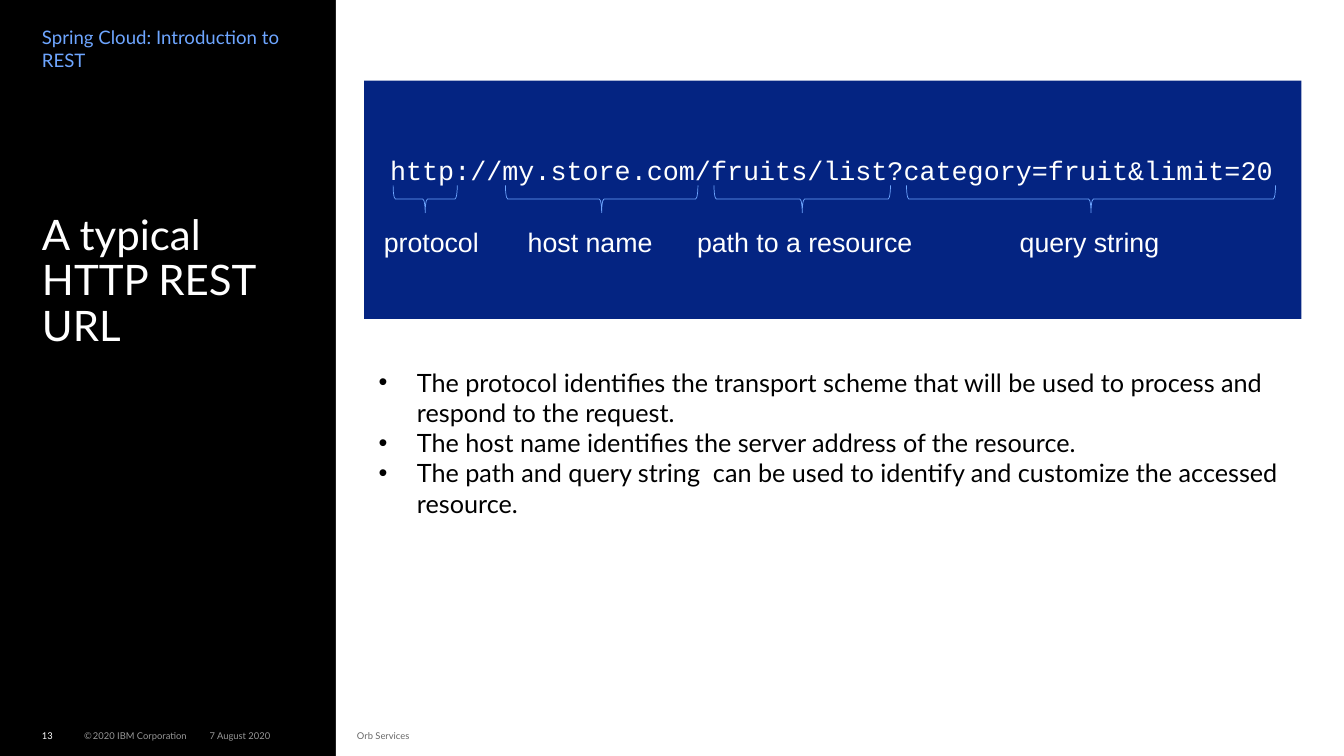
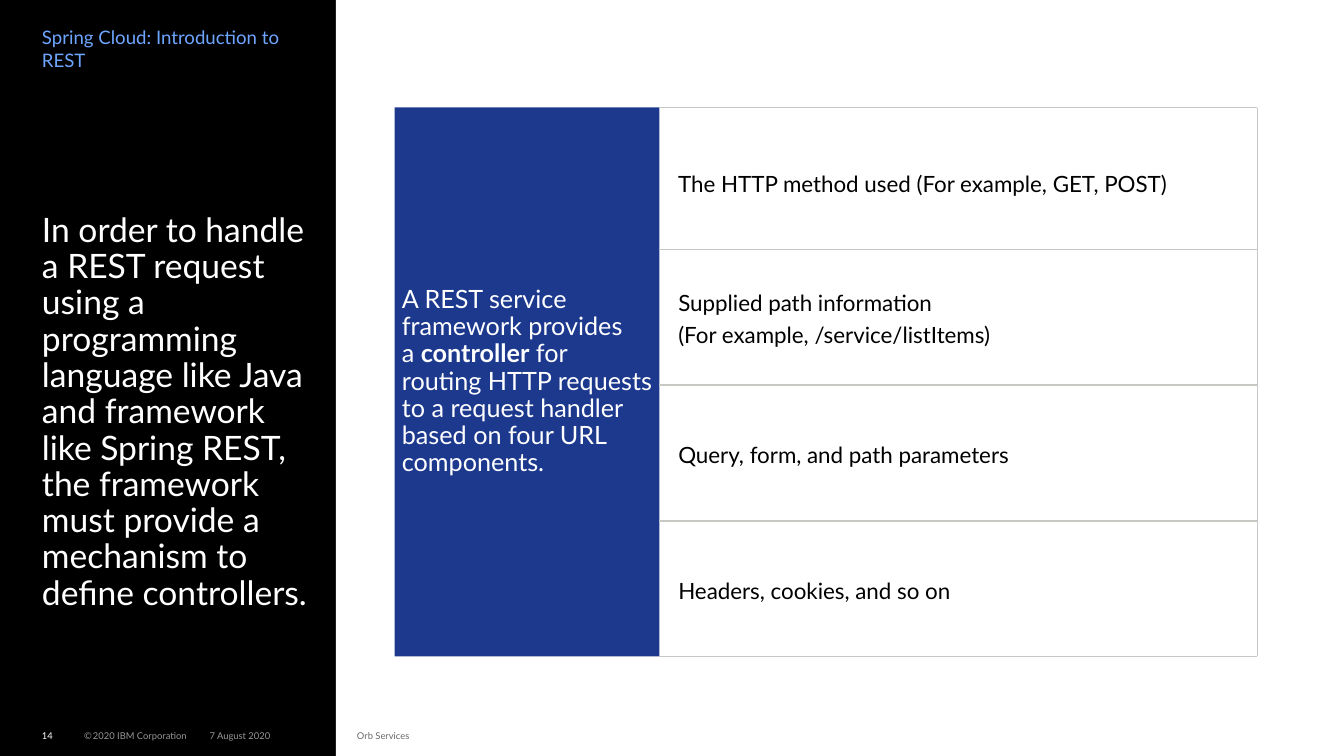
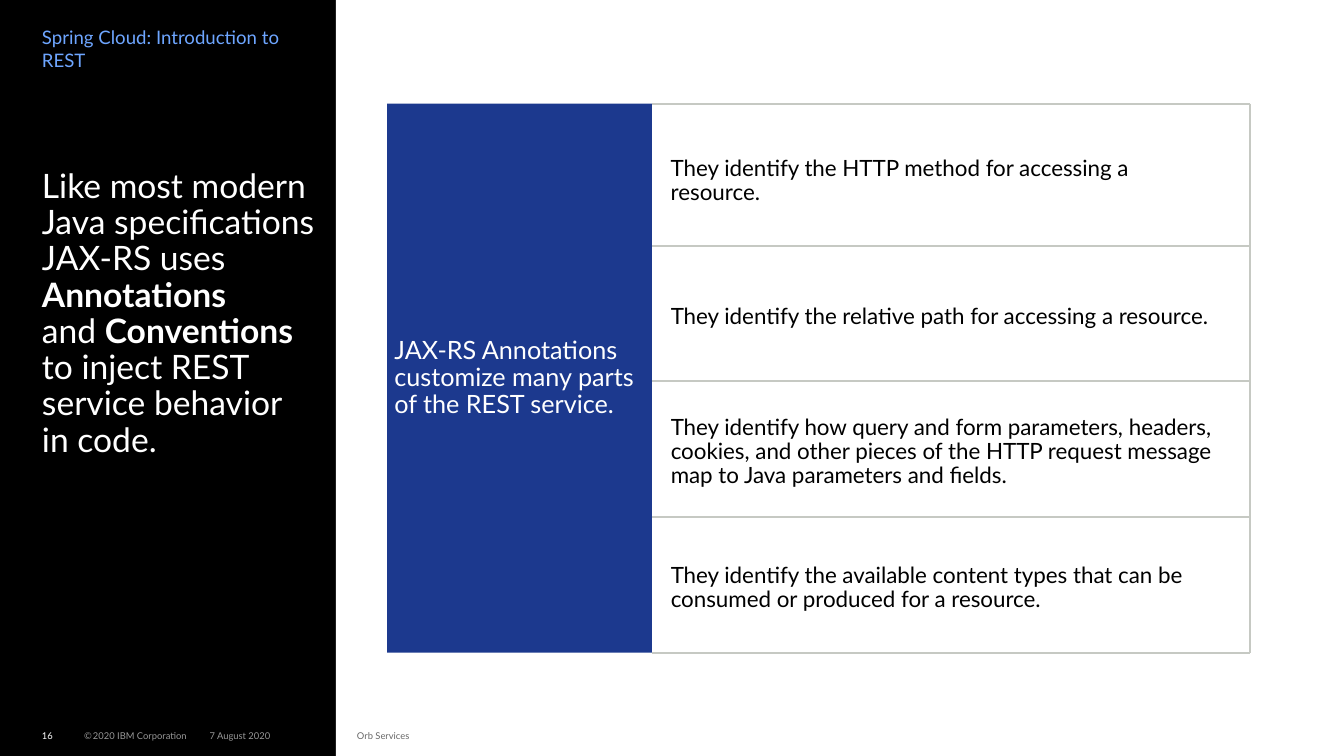
"""Build three slides on REST URLs, controllers and JAX-RS annotations."""
from lxml import etree
from pptx import Presentation
from pptx import util as u
from pptx.dml.color import RGBColor
from pptx.enum import shapes, text
from pptx.oxml.ns import qn

COLORS = {
    "black": "000000",
    "white": "FFFFFF",
    "navy": "042482",
    "sky": "6EA6FF",
    "rule": "C6C9C3",
}
COLUMNS, ROWS = 32, 18
CELL = 7.5 / ROWS
TOP, MIDDLE = text.MSO_ANCHOR.TOP, text.MSO_ANCHOR.MIDDLE
CENTER = text.PP_ALIGN.CENTER
COURSE = "Spring Cloud: Introduction to REST"
URL = "http://my.store.com/fruits/list?category=fruit&limit=20"
URL_PARTS = [
    ("http", "protocol", 10.27),
    ("my.store.com", "host name", 14.05),
    ("fruits/list", "path to a resource", 19.16),
    ("category=fruit&limit=20", "query string", 25.94),
]


def grid(*cells):
    """Turn counts of grid cells into lengths."""
    return [u.Inches(count * CELL) for count in cells]


def paint(color_format, name, alpha=100):
    """Set a named colour, with an opacity in percent, on a fill."""
    color_format.solid()
    color_format.fore_color.rgb = RGBColor.from_string(COLORS[name])
    if alpha < 100:
        color = color_format._xPr.find(qn("a:solidFill"))[0]
        etree.SubElement(color, qn("a:alpha"), val=str(alpha * 1000))


def add_bullet(para):
    """Give a paragraph a hanging round bullet."""
    properties = para._p.get_or_add_pPr()
    indent = u.Inches(0.38)
    properties.set("marL", str(indent))
    properties.set("indent", str(-indent))
    etree.SubElement(properties, qn("a:buFont"), typeface="Arial")
    etree.SubElement(properties, qn("a:buChar"), char="•")


def add_spans(para, spans, size, color, font, alpha):
    """Write text runs, each a string or a pair of string and bold or size."""
    for item in spans:
        words, change = (item, {}) if isinstance(item, str) else item
        for number, line in enumerate(words.split("\n")):
            if number:
                para.add_line_break()
            if not line:
                continue
            span = para.add_run()
            span.text = line
            span.font.name = font
            span.font.size = u.Pt(change.get("size", size))
            span.font.bold = change.get("bold", False)
            paint(span.font.fill, color, alpha)


def write(box, paragraphs, size, color="white", font="Lato", alpha=100, anchor=TOP,
          insets=(0, 0, 0, 0), spacing=1.0, after=0, align=text.PP_ALIGN.LEFT, bullets=False):
    """Fill a shape's frame with styled paragraphs."""
    frame = box.text_frame
    frame.word_wrap = True
    frame.vertical_anchor = anchor
    (frame.margin_left, frame.margin_top,
     frame.margin_right, frame.margin_bottom) = grid(*insets)
    for number, spans in enumerate(paragraphs):
        para = frame.paragraphs[0] if number == 0 else frame.add_paragraph()
        para.alignment = align
        para.line_spacing = spacing
        para.space_after = u.Pt(after)
        if bullets:
            add_bullet(para)
        add_spans(para, spans, size, color, font, alpha)


def add_label(page, at, paragraphs, size, **style):
    """Add a text box at a grid place."""
    write(page.shapes.add_textbox(*grid(*at)), paragraphs, size, **style)


def add_block(page, at, color, alpha=100):
    """Add a plain filled rectangle."""
    block = page.shapes.add_shape(shapes.MSO_SHAPE.RECTANGLE, *grid(*at))
    block.shadow.inherit = False
    paint(block.fill, color, alpha)
    block.line.fill.background()
    return block


def add_rule(page, *ends):
    """Add a thin grey line between two grid points."""
    rule = page.shapes.add_connector(shapes.MSO_CONNECTOR.STRAIGHT, *grid(*ends))
    rule.line.width = u.Pt(1.25)
    paint(rule.line.fill, "rule")
    etree.SubElement(rule._element.spPr, qn("a:effectLst"))


def add_brace(page, left, span):
    """Add a brace that opens upward below a stretch of text."""
    thickness = 0.65
    at = grid(left + (span - thickness) / 2, 4.74 - span / 2, thickness, span)
    brace = page.shapes.add_shape(shapes.MSO_SHAPE.LEFT_BRACE, *at)
    brace.rotation = 270
    brace.shadow.inherit = False
    brace.fill.background()
    brace.line.width = u.Pt(0.5)
    paint(brace.line.fill, "sky")


def add_page(deck, number, title, top, height, size, anchor=TOP):
    """Add a slide with the side band, title, course name and footer."""
    page = deck.slides.add_slide(deck.slide_layouts[6])
    paint(page.background.fill, "black")
    add_block(page, (COLUMNS / 4, 0, COLUMNS * 3 / 4, ROWS), "white")
    owner = ["©", (" ", {"size": 3.3}), "2020 IBM Corporation"]
    footers = [
        (1, 0.72, [str(number)], "white", 100),
        (2, 2.9, owner, "white", 60),
        (4.99, 2.8, ["7 August 2020"], "white", 60),
        (8.5, 5, ["Orb Services"], "black", 60),
    ]
    for left, width, spans, color, alpha in footers:
        add_label(page, (left, 17.28, width, 0.48), [spans], 6.7,
                  color=color, alpha=alpha, anchor=MIDDLE)
    add_label(page, (1, top, 6.5, height), [title], size,
              anchor=anchor, insets=(0, 0.6, 0, 0), spacing=0.9)
    add_label(page, (1, 0.58, 6.5, 1.8), [[COURSE]], 13.3, color="sky", spacing=1.05)
    return page


def add_url_diagram(page):
    """Show the address with a brace and a name under each part."""
    panel = add_block(page, (8.67, 1.92, 22.32, 5.67), "navy")
    write(panel, [[URL]], 19.1, font="Courier New", insets=(0.62, 1.74, 0, 0))
    letter = 0.382
    for part, name, center in URL_PARTS:
        add_brace(page, 9.36 + URL.index(part) * letter, len(part) * letter)
        add_label(page, (center - 3, 5.26, 6, 1), [[name]], 19.1,
                  font="Arial", align=CENTER, insets=(0, 0.12, 0, 0.12))


def add_summary(page, left, top, heading, entries):
    """Show a blue heading panel beside four ruled rows."""
    row_top, row_height, step = 0.31, 3.07, 3.23
    panel_width, height, right = 6.3, 13.07, left + 20.54
    style = {"anchor": MIDDLE, "insets": (0.17,) * 4, "spacing": 0.9}
    panel = add_block(page, (left, top, panel_width, height), "navy", 90)
    write(panel, [heading], 18, after=6.3, **style)
    edge = left + panel_width
    add_rule(page, edge, top, right, top)
    for number, paragraphs in enumerate(entries):
        start = top + row_top + number * step
        width = 13.97 if number else 12.92
        add_label(page, (left + 6.58, start, width, row_height), paragraphs, 16,
                  color="black", after=5.6, **style)
        add_rule(page, edge, start + row_height, right, start + row_height)
    add_rule(page, right, top, right, top + height)


def main():
    """Build and save the deck."""
    deck = Presentation()
    deck.slide_width, deck.slide_height = grid(COLUMNS, ROWS)
    bold = {"bold": True}

    page = add_page(deck, 13, ["A typical HTTP REST URL"], 4.5, 8, 30)
    add_label(page, (8.78, 8.62, 22.22, 3.9), [
        ["The protocol identifies the transport scheme that will be used to process "
         "and respond to the request."],
        ["The host name identifies the server address of the resource."],
        ["The path and query string  can be used to identify and customize the "
         "accessed resource."],
    ], 18, color="black", bullets=True, insets=(0.24, 0.12, 0.24, 0.12))
    add_url_diagram(page)

    page = add_page(deck, 14, [
        "In order to handle a REST request using a programming language like Java "
        "and framework like Spring REST, the framework must provide a mechanism to "
        "define controllers."], 3.43, 12.2, 24, MIDDLE)
    add_summary(page, 9.4, 2.56, [
        "A REST service framework provides \na ", ("controller", bold),
        " for routing HTTP requests to a request handler based on four URL components.",
    ], [
        [["The HTTP method used (For example, GET, POST)"]],
        [["Supplied path information"], ["(For example, /service/listItems)"]],
        [["Query, form, and path parameters"]],
        [["Headers, cookies, and so on"]],
    ])

    page = add_page(deck, 16, [
        "Like most modern Java specifications JAX-RS uses ", ("Annotations \n", bold),
        "and ", ("Conventions", bold), " to inject REST service behavior in code.",
    ], 3.43, 12.2, 24)
    add_summary(page, 9.22, 2.47, [
        "JAX-RS Annotations customize many parts of the REST service.",
    ], [
        [["They identify the HTTP method for accessing a resource."]],
        [["They identify the relative path for accessing a resource."]],
        [["They identify how query and form parameters, headers, cookies, and other "
          "pieces of the HTTP request message map to Java parameters and fields."]],
        [["They identify the available content types that can be consumed or "
          "produced for a resource."]],
    ])
    deck.save("out.pptx")


if __name__ == "__main__":
    main()
